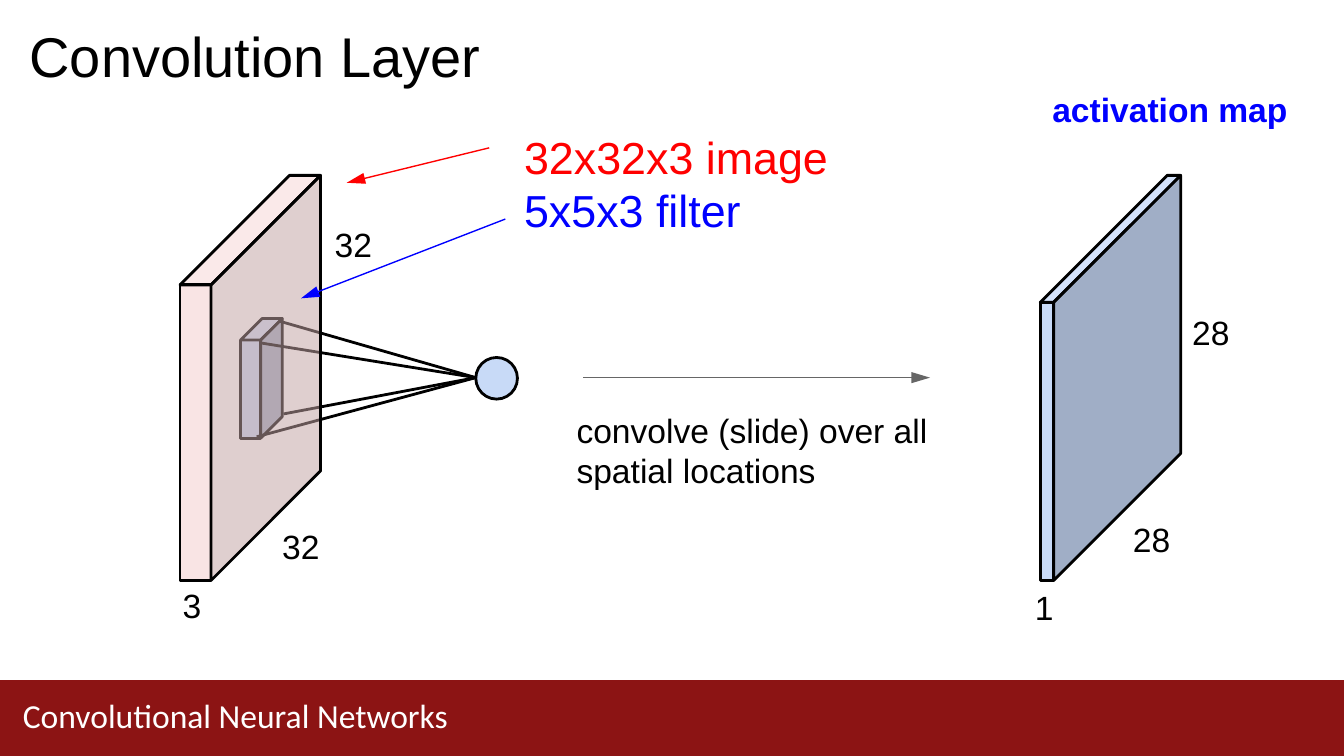
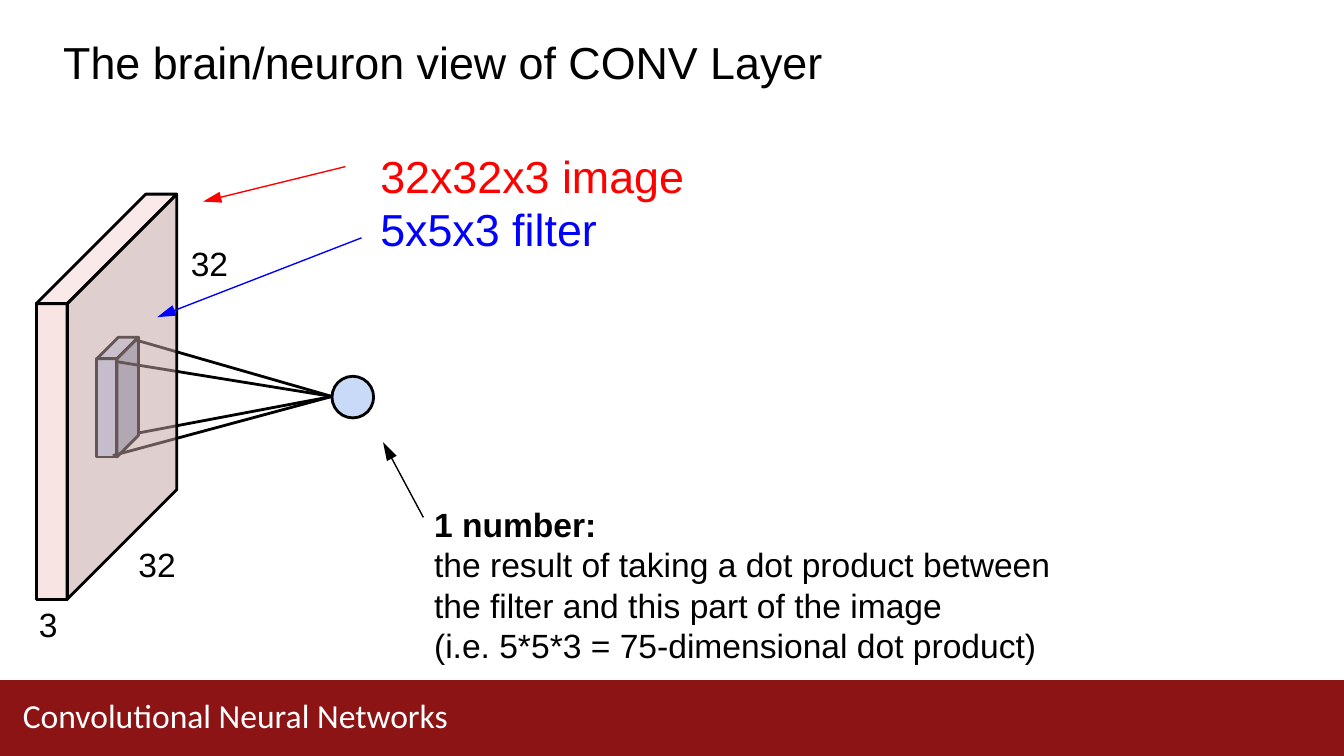
from lxml.etree import SubElement
from pptx import Presentation
from pptx.dml.color import RGBColor
from pptx.enum.shapes import MSO_CONNECTOR, MSO_SHAPE
from pptx.enum.text import MSO_ANCHOR, MSO_AUTO_SIZE, PP_ALIGN
from pptx.oxml.ns import qn
from pptx.util import Inches, Pt

BLACK = RGBColor(0x00, 0x00, 0x00)
WHITE = RGBColor(0xFF, 0xFF, 0xFF)
RED = RGBColor(0xFF, 0x00, 0x00)
BLUE = RGBColor(0x00, 0x00, 0xFF)
GRAY = RGBColor(0x66, 0x66, 0x66)
MAROON = RGBColor(0x8C, 0x14, 0x14)
SKY = RGBColor(0xC8, 0xDA, 0xF7)
# Front, side and top colours of a block
COOL = (SKY, RGBColor(0xA0, 0xAE, 0xC6), RGBColor(0xD3, 0xE1, 0xF9))
WARM = (RGBColor(0xF4, 0xCC, 0xCC), RGBColor(0xC3, 0xA3, 0xA3),
        RGBColor(0xF6, 0xD6, 0xD6))

deck = Presentation()
deck.slide_width, deck.slide_height = Inches(10), Inches(5.625)
# The grid has 100 columns; rows are as tall as columns are wide
COL = deck.slide_width // 100
ROWS = deck.slide_height / COL
BAND = 50.6


def block(slide, x, y, deep, high, skew, tints, alpha=None):
    """Draw a slanted block; x, y is the top left of its front face."""
    mid, end, low = x + deep, x + deep + skew, y + high
    faces = (
        [(x, y), (mid, y), (mid, low), (x, low)],
        [(mid, y), (end, y - skew), (end, low - skew), (mid, low)],
        [(x, y), (x + skew, y - skew), (end, y - skew), (mid, y)],
    )
    faces = [[(a * COL, b * COL) for a, b in face] for face in faces]
    for face, tint in zip(faces, tints):
        path = slide.shapes.build_freeform(*face[0])
        path.add_line_segments(face[1:])
        shape = path.convert_to_shape()
        shape.shadow.inherit = False
        shape.fill.solid()
        shape.fill.fore_color.rgb = tint
        shape.line.fill.background()
        if alpha:
            clr = shape._element.spPr.find(".//" + qn("a:srgbClr"))
            SubElement(clr, qn("a:alpha"), val=str(alpha * 1000))
    # Edges of all three faces as one outline
    path = slide.shapes.build_freeform(*faces[0][0])
    path.add_line_segments(faces[0][1:])
    for face in faces[1:]:
        path.move_to(*face[0])
        path.add_line_segments(face[1:])
    edge = path.convert_to_shape()
    edge.shadow.inherit = False
    edge.fill.background()
    edge.line.color.rgb = BLACK
    edge.line.width = Pt(1.5)


def link(slide, x1, y1, x2, y2, tint, width=0.75, arrow=True):
    ends = [int(v * COL) for v in (x1, y1, x2, y2)]
    line = slide.shapes.add_connector(MSO_CONNECTOR.STRAIGHT, *ends)
    line.line.color.rgb = tint
    line.line.width = Pt(width)
    props = line._element.spPr
    if arrow:
        SubElement(props.find(qn("a:ln")), qn("a:tailEnd"),
                   type="triangle", w="med", len="lg")
    SubElement(props, qn("a:effectLst"))


# Title, its size, box and insets, then the shift of the shared scene
heads = (
    ("Convolution Layer", 30, (2.1, 1.4, 33.9, 5.3), (0.1, 0.2), (0, 0)),
    ("The brain/neuron view of CONV Layer", 24, (2.5, -0.5, 95.1, 10.6),
     (2.2, 3.1), (-10.7, 1.4)),
)

# Labels: box, then paragraphs of text, size, colour, bold, lead, indent
plain = (18, BLACK, False, None, 0)
scene = (
    ((24.8, 9.1, 36.9, 10.4), [
        ("32x32x3 image", 24, RED, False, 28.5, 14.1),
        ("5x5x3 filter", 24, BLUE, False, 28.5, 14.1),
        ("32", 18, BLACK, False, 14.8, 0)]),
    ((20.9, 38.9, 3.1, 3.3), [("32", *plain)]),
    ((13.5, 43.3, 1.7, 3.1), [("3", *plain)]),
)
extras = (
    (
        ((42.8, 30.3, 26.8, 6.3),
         [("convolve (slide) over all spatial locations", *plain)]),
        ((78.2, 6.4, 18, 3.3),
         [("activation map", 18, BLUE, True, None, 0)]),
        ((76.9, 43.5, 1.7, 3.1), [("1", *plain)]),
        ((84.2, 38.4, 3.1, 3.3), [("28", *plain)]),
        ((88.6, 23, 3.1, 3.3), [("28", *plain)]),
    ),
    (
        ((32.2, 37.3, 46.5, 12.1), [
            ("1 number:", 18, BLACK, True, None, 0),
            ("the result of taking a dot product between "
             "the filter and this part of the image", *plain),
            ("(i.e. 5*5*3 = 75-dimensional dot product)", *plain)]),
    ),
)
foot = ((1.6, 51.5, 51.4, 2.9),
        [("Convolutional Neural Networks", 18, WHITE, False, None, 0)])

for (name, size, box, inset, (dx, dy)), extra in zip(heads, extras):
    slide = deck.slides.add_slide(deck.slide_layouts[5])

    # Footer band
    band = slide.shapes.add_shape(
        MSO_SHAPE.RECTANGLE, 0, int(BAND * COL), deck.slide_width,
        int((ROWS - BAND) * COL))
    band.shadow.inherit = False
    band.fill.solid()
    band.fill.fore_color.rgb = MAROON
    band.line.fill.background()

    # Title
    title = slide.shapes.title
    title.left, title.top, title.width, title.height = [
        int(v * COL) for v in box]
    frame = title.text_frame
    frame.auto_size = MSO_AUTO_SIZE.NONE
    frame.vertical_anchor = MSO_ANCHOR.TOP
    frame.margin_left, frame.margin_top = [int(v * COL) for v in inset]
    frame.margin_right = frame.margin_bottom = 0
    frame.text = name
    para = frame.paragraphs[0]
    para.alignment = PP_ALIGN.LEFT
    para.font.name, para.font.size = "Arial", Pt(size)
    para.font.color.rgb = BLACK

    # Filter, rays and neuron, then the see-through image block
    block(slide, 17.9 + dx, 25.3 + dy, 1.5, 7.3, 1.6, COOL)
    for x, y in ((19.1, 32.5), (19.3, 25.5), (20.8, 23.9), (21.1, 30.8)):
        link(slide, x + dx, y + dy, 35.4 + dx, 28.1 + dy, BLACK, 1.5, False)
    cell = slide.shapes.add_shape(
        MSO_SHAPE.OVAL, int((35.4 + dx) * COL), int((26.6 + dy) * COL),
        int(3.1 * COL), int(3.1 * COL))
    cell.shadow.inherit = False
    cell.fill.solid()
    cell.fill.fore_color.rgb = SKY
    cell.line.color.rgb = BLACK
    cell.line.width = Pt(1.5)
    block(slide, 13.4 + dx, 21.2 + dy, 2.3, 22, 8.15, WARM, 52)

    # Arrows from the labels
    link(slide, 36.4 + dx, 11 + dy, 25.8 + dx, 13.6 + dy, RED)
    link(slide, 37.6 + dx, 16.3 + dy, 22.4 + dx, 22.2 + dy, BLUE)

    # Parts found on one slide only
    if extra is extras[0]:
        link(slide, 43.4, 28.1, 69.2, 28.1, GRAY)
        block(slide, 77.4, 22.5, 1, 20.7, 9.45, COOL)
    else:
        link(slide, 31.5, 38.5, 28.5, 32.9, BLACK)

    # Labels and footer text
    moved = [((x + dx, y + dy, w, h), rows) for (x, y, w, h), rows in scene]
    for spot, rows in (*moved, *extra, foot):
        text = slide.shapes.add_textbox(*[int(v * COL) for v in spot])
        frame = text.text_frame
        frame.word_wrap = True
        frame.margin_left = int(0.1 * COL)
        frame.margin_top = int((0.6 if len(rows) > 1 and rows[0][4] else 0.2) * COL)
        frame.margin_right = frame.margin_bottom = 0
        for n, (words, size, tint, bold, lead, indent) in enumerate(rows):
            para = frame.add_paragraph() if n else frame.paragraphs[0]
            para.text = words
            if lead:
                para.line_spacing = Pt(lead)
            if indent:
                para._p.get_or_add_pPr().set("marL", str(int(indent * COL)))
            para.font.name = "Calibri" if rows is foot[1] else "Arial"
            para.font.size, para.font.bold = Pt(size), bold
            para.font.color.rgb = tint

deck.save("out.pptx")
